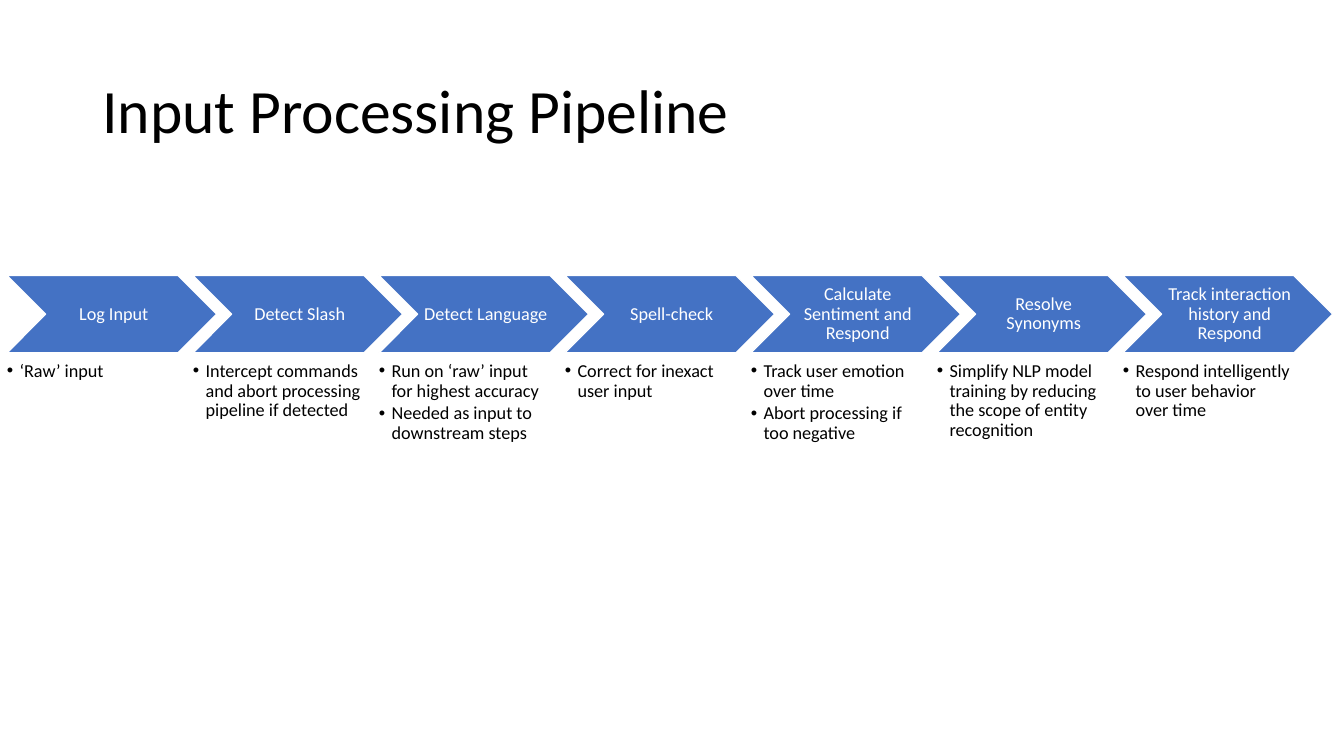
from lxml import etree
from pptx import Presentation
from pptx import util as u
from pptx.dml import color
from pptx.enum import shapes, text
from pptx.oxml import ns

COLORS = {"arrow": "4472C4", "outline": "FFFFFF", "label": "FFFFFF", "ink": "000000"}
FONT = "Calibri"
STEPS_LEFT, STEP_PITCH = 5, 132.85
ARROW_TOP, ARROW_WIDTH, ARROW_HEIGHT = 196.8, 149.8, 55.2
NOTES_TOP, NOTES_WIDTH, NOTES_HEIGHT = 258.5, 120, 60.5
BULLET_INDENT = 9

STEPS = [
    ("Log Input", ["‘Raw’ input"]),
    ("Detect Slash", ["Intercept commands and abort processing pipeline if detected"]),
    ("Detect Language", ["Run on ‘raw’ input for highest accuracy",
                         "Needed as input to downstream steps"]),
    ("Spell-check", ["Correct for inexact user input"]),
    ("Calculate Sentiment and Respond", ["Track user emotion over time",
                                         "Abort processing if too negative"]),
    ("Resolve Synonyms", ["Simplify NLP model training by reducing the scope of entity recognition"]),
    ("Track interaction history and Respond", ["Respond intelligently to user behavior over time"]),
]


def rgb(name):
    return color.RGBColor.from_string(COLORS[name])


def set_frame(frame, anchor, left, top, right, bottom):
    frame.word_wrap = True
    frame.vertical_anchor = anchor
    frame.margin_left, frame.margin_top = u.Pt(left), u.Pt(top)
    frame.margin_right, frame.margin_bottom = u.Pt(right), u.Pt(bottom)


def write(paragraph, words, size, ink, align):
    paragraph.alignment = align
    paragraph.line_spacing = 0.9
    run = paragraph.add_run()
    run.text = words
    run.font.name = FONT
    run.font.size = u.Pt(size)
    run.font.color.rgb = rgb(ink)


def add_bullet(paragraph):
    properties = paragraph._p.get_or_add_pPr()
    properties.set("marL", str(u.Pt(BULLET_INDENT)))
    properties.set("indent", str(-u.Pt(BULLET_INDENT)))
    etree.SubElement(properties, ns.qn("a:buFont")).set("typeface", "Arial")
    etree.SubElement(properties, ns.qn("a:buChar")).set("char", "•")


def add_title(slide, words):
    title = slide.shapes.title
    title.left, title.top, title.width, title.height = map(u.Pt, (66, 28.75, 828, 104.4))
    set_frame(title.text_frame, text.MSO_ANCHOR.MIDDLE, 7.2, 3.6, 7.2, 3.6)
    write(title.text_frame.paragraphs[0], words, 44, "ink", text.PP_ALIGN.LEFT)


def add_arrow(pipeline, left, label):
    arrow = pipeline.shapes.add_shape(
        shapes.MSO_SHAPE.CHEVRON,
        u.Pt(left), u.Pt(ARROW_TOP), u.Pt(ARROW_WIDTH), u.Pt(ARROW_HEIGHT))
    arrow.shadow.inherit = False
    arrow.fill.solid()
    arrow.fill.fore_color.rgb = rgb("arrow")
    arrow.line.color.rgb = rgb("outline")
    arrow.line.width = u.Pt(1)
    set_frame(arrow.text_frame, text.MSO_ANCHOR.MIDDLE, 4, 1.35, 1.35, 1.35)
    write(arrow.text_frame.paragraphs[0], label, 13, "label", text.PP_ALIGN.CENTER)


def add_notes(pipeline, left, points):
    frame = pipeline.shapes.add_textbox(
        u.Pt(left), u.Pt(NOTES_TOP), u.Pt(NOTES_WIDTH), u.Pt(NOTES_HEIGHT)).text_frame
    set_frame(frame, text.MSO_ANCHOR.TOP, 0, 0, 0, 0)
    for index, point in enumerate(points):
        paragraph = frame.add_paragraph() if index else frame.paragraphs[0]
        write(paragraph, point, 13, "ink", text.PP_ALIGN.LEFT)
        paragraph.space_after = u.Pt(2)
        add_bullet(paragraph)


def main():
    deck = Presentation()
    deck.slide_width, deck.slide_height = u.Pt(960), u.Pt(540)
    slide = deck.slides.add_slide(deck.slide_layouts.get_by_name("Title Only"))
    add_title(slide, "Input Processing Pipeline")
    pipeline = slide.shapes.add_group_shape()
    for index, (label, points) in enumerate(STEPS):
        left = STEPS_LEFT + index * STEP_PITCH
        add_arrow(pipeline, left, label)
        add_notes(pipeline, left, points)
    deck.save("out.pptx")


if __name__ == "__main__":
    main()
